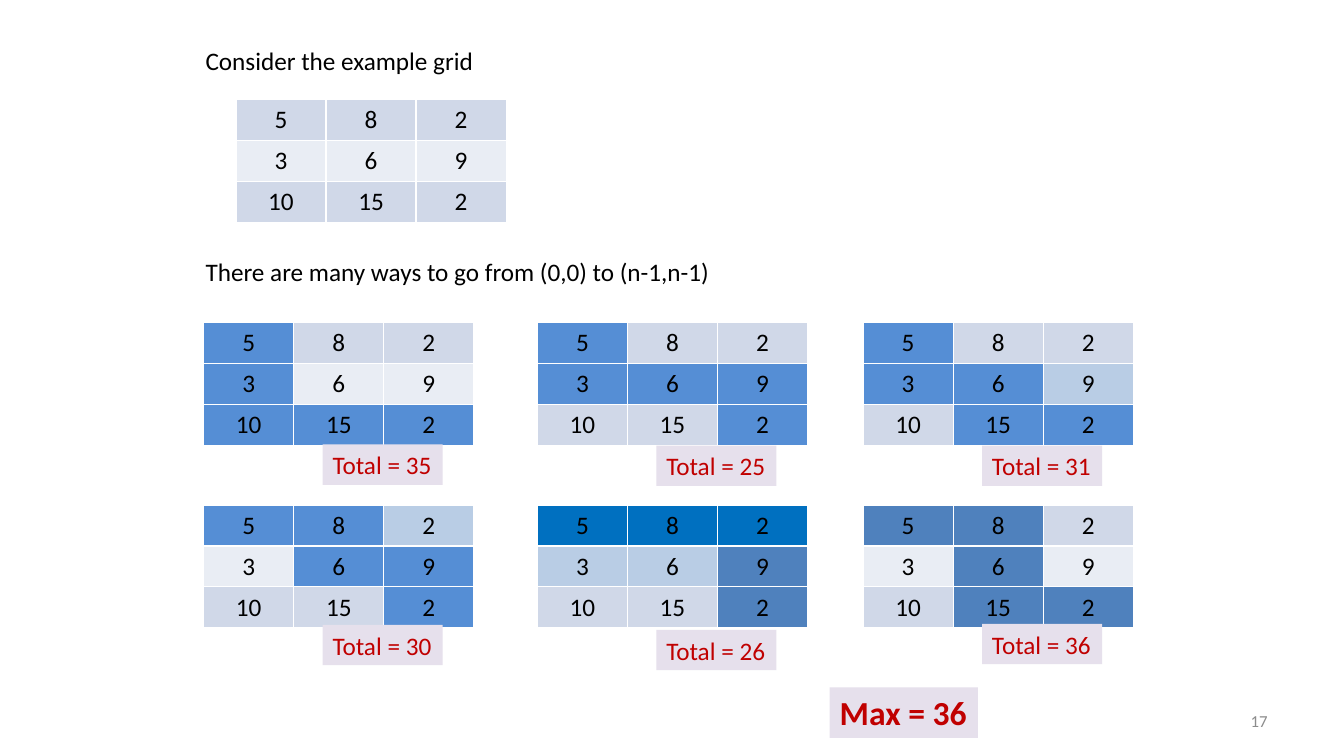
import pptx
import pptx.dml.color
import pptx.enum.text
import pptx.util

PX = 9144  # EMU per px, at 100 px to the inch
GRID_W, GRID_H = 268, 122
VALUES = [[5, 8, 2], [3, 6, 9], [10, 15, 2]]
COLORS = {
    "text": "000000", "result": "C00000", "result_fill": "E6E0EC", "number": "8C8C8C",
    "band": "D0D8E8", "light": "E9EDF4", "pale": "B9CDE5",
    "path": "558ED5", "steel": "4F81BD", "vivid": "0070C0",
}
FILL_CODES = {"b": "band", "l": "light", "a": "pale", "P": "path", "S": "steel", "V": "vivid"}
ROUTE_LEFTS = [202, 533, 856]
ROUTE_TOPS = [320, 501]
# Each route: cell fills row by row, total, distance from grid top to total label
ROUTES = [
    [("Pbb Pll PPP", 35, 121), ("Pbb PPP bbP", 25, 122), ("Pbb PPa bPP", 31, 122)],
    [("PPa lPP bbP", 30, 119), ("VVV aaS bbS", 26, 124), ("SSb lSl bSS", 36, 118)],
]
ALIGN = pptx.enum.text.PP_ALIGN
ANCHOR = pptx.enum.text.MSO_ANCHOR


def rgb(name):
    return pptx.dml.color.RGBColor.from_string(COLORS[name])


def emu(*lengths):
    return [pptx.util.Emu(length * PX) for length in lengths]


def style(paragraph, size, color, align=ALIGN.LEFT, bold=False):
    paragraph.alignment = align
    font = paragraph.font
    font.name, font.size, font.bold = "Calibri", pptx.util.Pt(size), bold
    font.color.rgb = rgb(color)


def add_line(slide, box, text, size=18, color="text", **options):
    """Place one unwrapped line of text in a box that fits it."""
    line = slide.shapes.add_textbox(*emu(*box))
    frame = line.text_frame
    frame.word_wrap = False
    frame.auto_size = pptx.enum.text.MSO_AUTO_SIZE.SHAPE_TO_FIT_TEXT
    frame.text = text
    style(frame.paragraphs[0], size, color, **options)
    return line


def add_result(slide, box, text, **options):
    result = add_line(slide, box, text, color="result", **options)
    result.fill.solid()
    result.fill.fore_color.rgb = rgb("result_fill")


def add_grid(slide, left, top, fills):
    """Draw the number grid, its cells coloured by the fill codes."""
    grid = slide.shapes.add_table(3, 3, *emu(left, top, GRID_W, GRID_H)).table
    grid.first_row = grid.horz_banding = False
    for r, codes in enumerate(fills.split()):
        for c, code in enumerate(codes):
            cell = grid.cell(r, c)
            cell.text = str(VALUES[r][c])
            cell.vertical_anchor = ANCHOR.MIDDLE
            cell.fill.solid()
            cell.fill.fore_color.rgb = rgb(FILL_CODES[code])
            style(cell.text_frame.paragraphs[0], 18, "text", ALIGN.CENTER)


def add_route(slide, left, top, fills, total, label_offset):
    add_grid(slide, left, top, fills)
    add_result(slide, (left + 118, top + label_offset, 119, 40), f"Total = {total}")


def add_example(slide, left, top):
    add_line(slide, (left, top, 289, 40), "Consider the example grid")
    add_grid(slide, left + 40, top + 59, "bbb lll bbb")


def add_routes(slide):
    add_line(slide, (194, 249, 526, 40), "There are many ways to go from (0,0) to (n-1,n-1)")
    for top, row in zip(ROUTE_TOPS, ROUTES):
        for left, route in zip(ROUTE_LEFTS, row):
            add_route(slide, left, top, *route)
    add_result(slide, (823, 682, 147, 50), "Max = 36", size=24, bold=True)


def add_slide_number(slide, box, number):
    frame = slide.shapes.add_textbox(*emu(*box)).text_frame
    frame.word_wrap = True
    frame.vertical_anchor = ANCHOR.MIDDLE
    frame.text = number
    style(frame.paragraphs[0], 12, "number", ALIGN.RIGHT)


def main():
    deck = pptx.Presentation()
    deck.slide_width, deck.slide_height = emu(1333, 750)
    slide = deck.slides.add_slide(deck.slide_layouts[6])
    add_example(slide, 194, 40)
    add_routes(slide)
    add_slide_number(slide, (956, 695, 311, 40), "17")
    deck.save("out.pptx")


if __name__ == "__main__":
    main()
